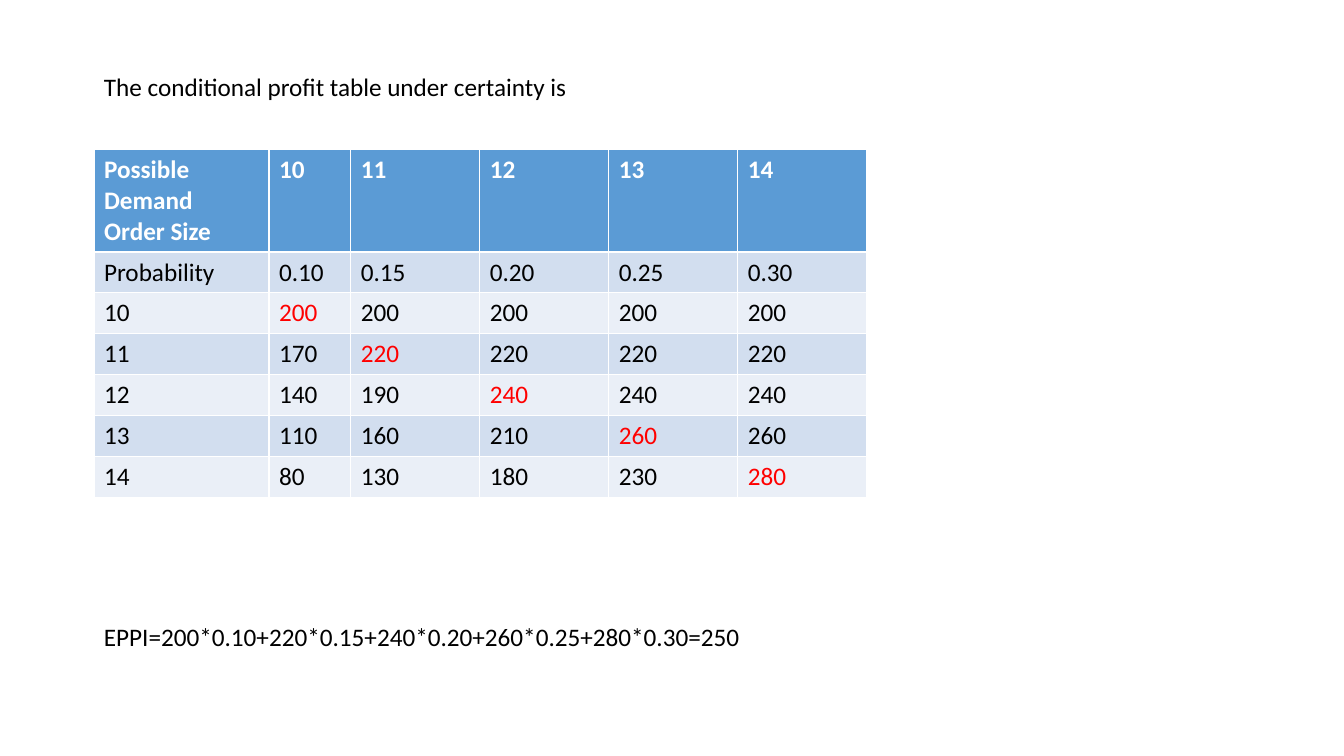
from pptx import Presentation
from pptx.dml.color import RGBColor
from pptx.util import Cm, Pt

WHITE, BLACK, RED = "FFFFFF", "000000", "FF0000"
HEAD, BANDS = "5B9BD5", ("EAEFF7", "D2DEEF")


def paint(fmt, tone):
    """Set a solid colour on a fill or a font."""
    if hasattr(fmt, "solid"):
        fmt.solid()
        fmt.fore_color.rgb = RGBColor.from_string(tone)
    else:
        fmt.color.rgb = RGBColor.from_string(tone)


def write(frame, text, tone=BLACK, bold=False, wrap=True):
    """Fill a text frame, one paragraph per line of text."""
    frame.word_wrap = wrap
    frame.text = text
    for para in frame.paragraphs:
        font = para.runs[0].font
        font.name, font.size, font.bold = "Calibri", Pt(18), bold
        paint(font, tone)


deck = Presentation()
deck.slide_width, deck.slide_height = Cm(33.87), Cm(19.05)
slide = deck.slides.add_slide(deck.slide_layouts[6])
left = Cm(2.37)

# Profit rows: each unit sells for 50 and costs 30
sizes = range(10, 15)
rows = [["Possible Demand\nOrder Size", *sizes],
        ["Probability", "0.10", "0.15", "0.20", "0.25", "0.30"]]
for order in sizes:
    rows.append([order] + [50 * min(order, need) - 30 * order for need in sizes])

# Table grid
widths = [4.41, 2.06] + [3.25] * 4
heights = [2.51] + [1.03] * 6
table = slide.shapes.add_table(len(rows), len(widths), left, Cm(3.77),
                               Cm(sum(widths)), Cm(sum(heights))).table
for col, width in zip(table.columns, widths):
    col.width = Cm(width)
for row, height in zip(table.rows, heights):
    row.height = Cm(height)

# Table cells: the best profit for each demand lies on the diagonal
for r, row in enumerate(rows):
    for c, value in enumerate(row):
        cell = table.cell(r, c)
        paint(cell.fill, BANDS[r % 2] if r else HEAD)
        best = r > 1 and c == r - 1
        tone = RED if best else BLACK if r else WHITE
        write(cell.text_frame, str(value), tone=tone, bold=r == 0)

# Lines above and below the table
title = slide.shapes.add_textbox(left, Cm(1.68), Cm(12.47), Cm(1.03))
write(title.text_frame, "The conditional profit table under certainty is", wrap=False)
result = slide.shapes.add_textbox(left, Cm(15.52), Cm(19.74), Cm(1.03))
write(result.text_frame, "EPPI=200*0.10+220*0.15+240*0.20+260*0.25+280*0.30=250")

deck.save("out.pptx")
